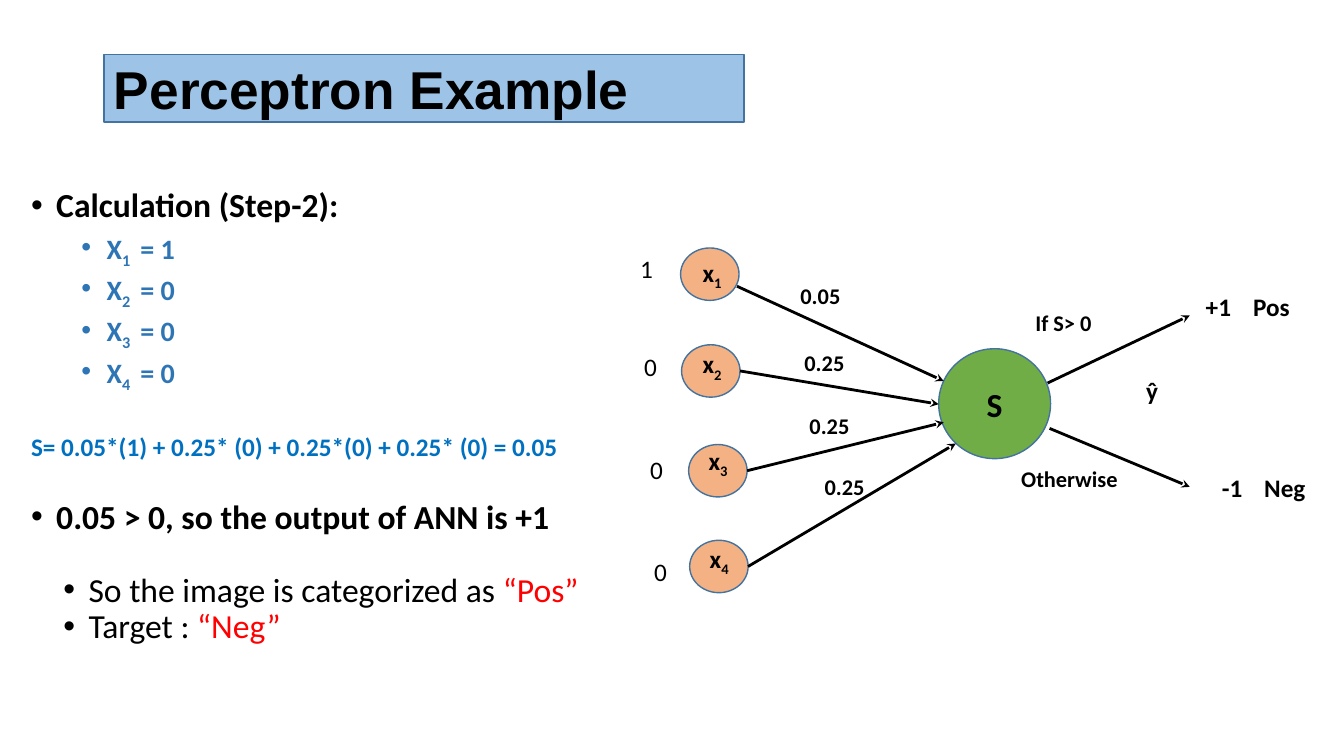
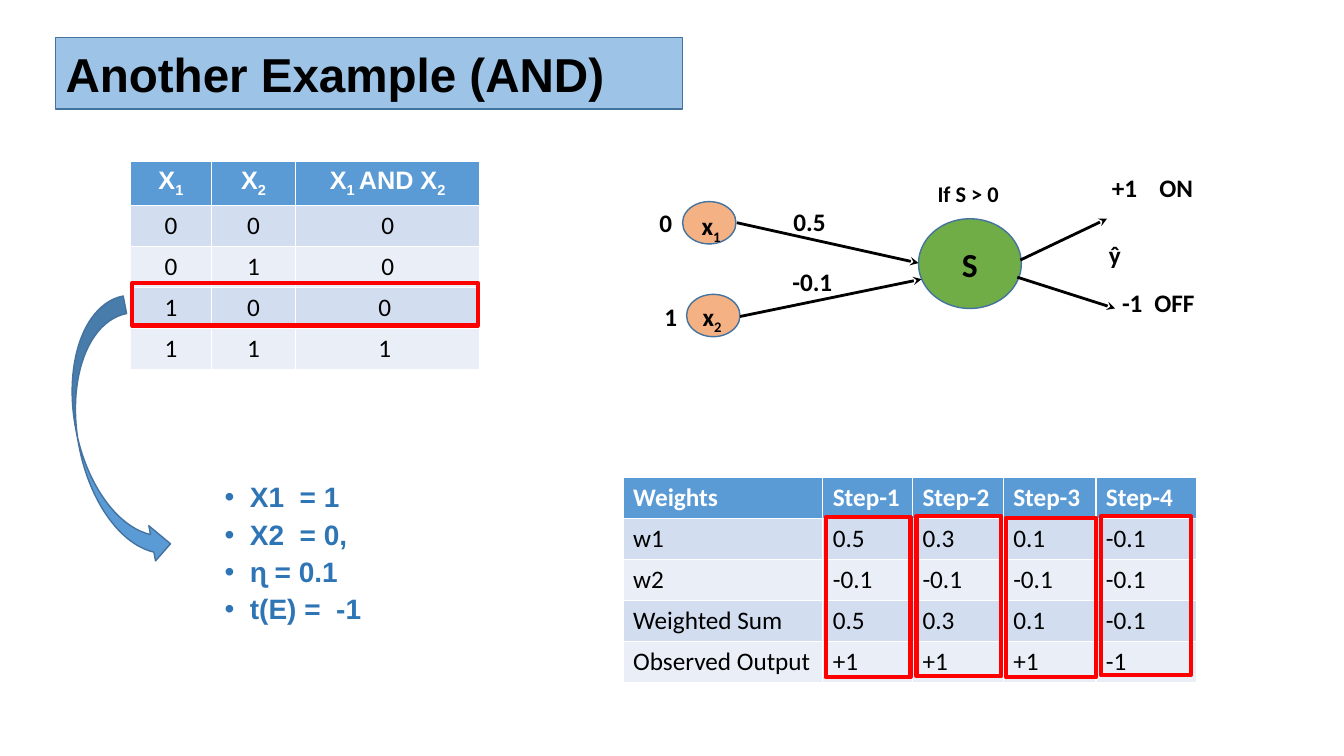
from lxml.etree import SubElement
from pptx import Presentation
from pptx.dml.color import RGBColor
from pptx.enum.shapes import MSO_CONNECTOR, MSO_SHAPE
from pptx.enum.text import MSO_ANCHOR, MSO_AUTO_SIZE, PP_ALIGN
from pptx.oxml.ns import qn
from pptx.util import Inches, Pt

COLORS = {
    "black": "000000", "white": "FFFFFF", "red": "FF0000",
    "band": "9DC3E6", "outline": "43739E", "input": "F4B183", "sum": "70AD47",
    "blue": "2E75B6", "formula": "0070C0",
    "header": "5B9BD5", "odd": "D2DEEF", "even": "EAEFF7",
}
RGB = {name: RGBColor.from_string(value) for name, value in COLORS.items()}


def add_runs(paragraph, text, size, color="black", bold=True, font="Calibri"):
    """Write text into a paragraph; parts between tildes are subscripts."""
    for index, part in enumerate(text.split("~")):
        if part:
            run = paragraph.add_run()
            run.text = part
            run.font.size = Pt(size)
            run.font.bold = bold
            run.font.name = font
            run.font.color.rgb = RGB[color]
            if index % 2:
                run._r.get_or_add_rPr().set("baseline", "-25000")


def add_shape(slide, kind, box, fill, line="outline", width=1):
    shape = slide.shapes.add_shape(kind, *map(Inches, box))
    shape.shadow.inherit = False
    if fill:
        shape.fill.solid()
        shape.fill.fore_color.rgb = RGB[fill]
    else:
        shape.fill.background()
    shape.line.color.rgb = RGB[line]
    shape.line.width = Pt(width)
    return shape


prs = Presentation()
prs.slide_width, prs.slide_height = Inches(13.33), Inches(7.5)

slides = []
for heading, size, box in [
    ("Perceptron Example", 38, (1.03, 0.54, 6.35, 0.67)),
    ("Another Example (AND)", 34, (0.55, 0.37, 6.22, 0.71)),
]:
    slide = prs.slides.add_slide(prs.slide_layouts[5])
    title = slide.shapes.title
    title.left, title.top, title.width, title.height = map(Inches, box)
    outline = SubElement(title._element.spPr, qn("a:prstGeom"), prst="roundRect")
    SubElement(outline, qn("a:avLst"))
    title.fill.solid()
    title.fill.fore_color.rgb = RGB["band"]
    title.line.color.rgb = RGB["outline"]
    title.line.width = Pt(1)
    title.text_frame.auto_size = MSO_AUTO_SIZE.NONE
    title.text_frame.vertical_anchor = MSO_ANCHOR.MIDDLE
    paragraph = title.text_frame.paragraphs[0]
    paragraph.alignment = PP_ALIGN.LEFT
    add_runs(paragraph, heading, size, font="Arial")
    slides.append(slide)
step_slide, and_slide = slides

networks = [
    {
        "slide": step_slide,
        "input_size": (0.58, 0.52),
        "inputs": [(6.75, 2.46), (6.76, 3.42), (6.83, 4.41), (6.84, 5.36)],
        "sum": (9.31, 3.46, 1.11, 1.09),
        "arrows": [
            (7.31, 2.84, 9.36, 3.78), (7.34, 3.68, 9.31, 4.01),
            (7.41, 4.67, 9.36, 4.19), (7.42, 5.62, 9.48, 4.4),
            (10.39, 3.8, 11.8, 3.13), (10.41, 4.25, 11.8, 4.83),
        ],
        "labels": [
            ("x~1~", 6.87, 2.5, 18, True), ("x~2~", 6.87, 3.41, 18, True),
            ("x~3~", 6.93, 4.37, 18, True), ("x~4~", 6.94, 5.34, 18, True),
            ("1", 6.25, 2.46, 18, False), ("0", 6.29, 3.44, 18, False),
            ("0", 6.35, 4.46, 18, False), ("0", 6.39, 5.47, 18, False),
            ("0.05", 7.84, 2.75, 16, True), ("0.25", 7.88, 3.41, 16, True),
            ("0.25", 7.93, 4.04, 16, True), ("0.25", 8.08, 4.64, 16, True),
            ("If S> 0", 10.17, 3.02, 16, True), ("Otherwise", 10.03, 4.57, 16, True),
            ("ŷ", 11.27, 3.67, 18, True),
        ],
        "outputs": [("+1\tPos", 11.86, 2.84, 0.47), ("-1\tNeg", 12.02, 4.64, 0.42)],
    },
    {
        "slide": and_slide,
        "input_size": (0.53, 0.42),
        "inputs": [(6.77, 2), (6.81, 2.92)],
        "sum": (9.11, 2.17, 1.02, 0.89),
        "arrows": [
            (7.31, 2.21, 9.11, 2.61), (7.34, 3.14, 9.14, 2.77),
            (10.12, 2.58, 10.98, 2.17), (10.09, 2.75, 11.06, 3.06),
        ],
        "labels": [
            ("x~1~", 6.86, 2.04, 18, True), ("x~2~", 6.87, 2.94, 18, True),
            ("0", 6.44, 2.01, 18, True), ("1", 6.49, 2.94, 18, True),
            ("0.5", 7.77, 2, 18, True), ("-0.1", 7.76, 2.59, 18, True),
            ("If S > 0", 9.2, 1.74, 16, True), ("ŷ", 10.9, 2.33, 18, True),
        ],
        "outputs": [("+1\tON", 10.93, 1.66, 0.47), ("-1\tOFF", 11.03, 2.8, 0.32)],
    },
]

for network in networks:
    slide = network["slide"]
    for corner in network["inputs"]:
        add_shape(slide, MSO_SHAPE.OVAL, corner + network["input_size"], "input")
    sum_node = add_shape(slide, MSO_SHAPE.OVAL, network["sum"], "sum")
    sum_node.text_frame.vertical_anchor = MSO_ANCHOR.MIDDLE
    paragraph = sum_node.text_frame.paragraphs[0]
    paragraph.alignment = PP_ALIGN.CENTER
    add_runs(paragraph, "S", 24)

    for ends in network["arrows"]:
        arrow = slide.shapes.add_connector(MSO_CONNECTOR.STRAIGHT, *map(Inches, ends))
        arrow.line.color.rgb = RGB["black"]
        arrow.line.width = Pt(2)
        SubElement(arrow.line._get_or_add_ln(), qn("a:tailEnd"), type="stealth")
        SubElement(arrow._element.spPr, qn("a:effectLst"))

    for text, left, top, size, bold in network["labels"]:
        width = 1.21 if len(text) > 4 else 0.72
        label = slide.shapes.add_textbox(*map(Inches, (left, top, width, 0.4)))
        label.text_frame.word_wrap = True
        add_runs(label.text_frame.paragraphs[0], text, size, bold=bold)

    for text, left, top, tab in network["outputs"]:
        label = slide.shapes.add_textbox(*map(Inches, (left, top, 1.25, 0.4)))
        label.text_frame.word_wrap = True
        paragraph = label.text_frame.paragraphs[0]
        tabs = SubElement(paragraph._p.get_or_add_pPr(), qn("a:tabLst"))
        SubElement(tabs, qn("a:tab"), pos=str(Inches(tab)), algn="l")
        add_runs(paragraph, text, 18)

calculation = [
    (0.25, True, 0, 24, True, [("Calculation (Step-2):", "black")]),
    *[(0.75, True, 5, 20, True, [(f"X~{number} ~ = {value}", "blue")])
      for number, value in enumerate((1, 0, 0, 0), 1)],
    (0, False, 32, 18, True,
     [("S= 0.05*(1) + 0.25* (0) + 0.25*(0) + 0.25* (0) = 0.05", "formula")]),
    (0.25, True, 27, 24, True, [("0.05 > 0, so the output of ANN is +1", "black")]),
    (0.57, True, 26.4, 24, False,
     [("So the image is categorized as ", "black"), ("“Pos”", "red")]),
    (0.57, True, 0, 24, False, [("Target : ", "black"), ("“Neg”", "red")]),
]
settings = [
    (0.25, True, 5 if index else 0, 20, True, [(text, "blue")])
    for index, text in enumerate(["X1  = 1", "X2  = 0,", "ɳ = 0.1", "t(E) =  -1"])
]
for slide, box, font, lines in [
    (step_slide, (0.21, 1.82, 6.24, 5), "Calibri", calculation),
    (and_slide, (2.13, 4.75, 3.16, 2.06), "Arial", settings),
]:
    frame = slide.shapes.add_textbox(*map(Inches, box)).text_frame
    frame.word_wrap = True
    for index, (indent, bulleted, before, size, bold, parts) in enumerate(lines):
        paragraph = frame.add_paragraph() if index else frame.paragraphs[0]
        if bulleted:
            properties = paragraph._p.get_or_add_pPr()
            properties.set("marL", str(Inches(indent)))
            properties.set("indent", str(-Inches(0.25)))
            SubElement(properties, qn("a:buFont"), typeface="Arial")
            SubElement(properties, qn("a:buChar"), char="•")
        paragraph.line_spacing = 0.9
        paragraph.space_before = Pt(before)
        for text, color in parts:
            add_runs(paragraph, text, size, color, bold, font)

truth_rows = [
    ["X~1~", "X~2~", "X~1 ~AND X~2~"],
    ["0", "0", "0"], ["0", "1", "0"], ["1", "0", "0 "], ["1", "1", "1 "],
]
weight_rows = [
    ["Weights", "Step-1", "Step-2", "Step-3", "Step-4"],
    ["w1", "0.5", "0.3", "0.1", "-0.1"],
    ["w2", "-0.1", "-0.1", "-0.1", "-0.1"],
    ["Weighted Sum", "0.5", "0.3", "0.1", "-0.1"],
    ["Observed Output", "+1", "+1", "+1", "-1"],
]
for left, top, widths, rows, alignment, header_font in [
    (1.29, 1.6, (0.81, 0.83, 1.83), truth_rows, PP_ALIGN.CENTER, "Arial"),
    (6.18, 4.74, (1.98, 0.89, 0.9, 0.92, 1), weight_rows, PP_ALIGN.LEFT, "Calibri"),
]:
    table = and_slide.shapes.add_table(
        len(rows), len(widths), Inches(left), Inches(top),
        Inches(sum(widths)), Inches(2.03)).table
    for column, width in zip(table.columns, widths):
        column.width = Inches(width)
    for row, texts in enumerate(rows):
        fill = "header" if row == 0 else "odd" if row % 2 else "even"
        for column, text in enumerate(texts):
            cell = table.cell(row, column)
            cell.fill.solid()
            cell.fill.fore_color.rgb = RGB[fill]
            paragraph = cell.text_frame.paragraphs[0]
            paragraph.alignment = alignment
            if row == 0:
                add_runs(paragraph, text, 18, "white", font=header_font)
            else:
                add_runs(paragraph, text, 18, bold=False)

pointer = add_shape(and_slide, MSO_SHAPE.CURVED_RIGHT_ARROW,
                    (0.77, 2.98, 0.71, 2.68), "header")
pointer.rotation = 349.2

for highlight in [
    (1.31, 2.81, 3.43, 0.42),
    (8.19, 5.13, 0.84, 1.59), (9.09, 5.12, 0.84, 1.59),
    (9.98, 5.14, 0.89, 1.58), (10.92, 5.12, 0.89, 1.58),
]:
    add_shape(and_slide, MSO_SHAPE.RECTANGLE, highlight, None, "red", 3)

prs.save("out.pptx")
